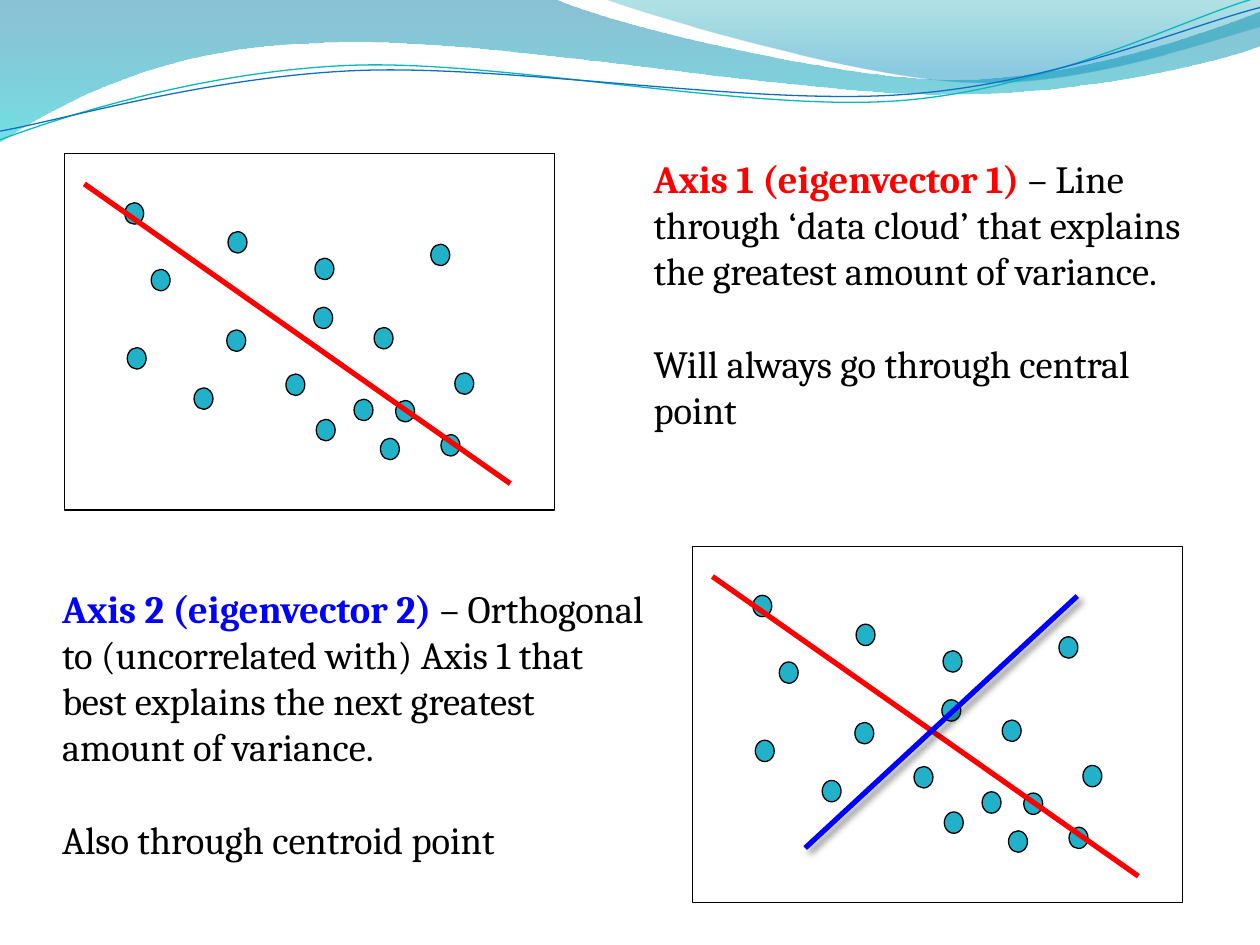
"""Build a slide that explains the first two principal axes of a data cloud."""
import dataclasses

import lxml.etree
import pptx
import pptx.dml.color
import pptx.enum.shapes
import pptx.oxml.ns
import pptx.util

Pt = pptx.util.Pt
qn = pptx.oxml.ns.qn


@dataclasses.dataclass(frozen=True)
class Theme:
    font: str = "Cambria"
    body: float = 22
    line_height: float = 26.4
    text: str = "000000"
    outline: str = "000000"
    dot: str = "21B2C9"
    axis1: str = "FF0000"
    axis2: str = "0000FF"
    band: tuple = ((0, "0074A1", 45), (1, "00C6CF", 55))
    crest: tuple = ((0, "00A1A9", 30), (0.8, "008BBF", 45))
    teal: str = "0AB8BF"
    blue: str = "0F6FC6"
    thin: float = 0.75
    thick: float = 3


THEME = Theme()
PANEL_SIZE = (280.2, 203.6)
DOT_SIZE = (10.8, 12.2)
DOTS = [
    (34.6, 28.1), (49.7, 66.2), (93.6, 44.6), (36, 110.9), (92.9, 100.8),
    (143.3, 59.8), (126.7, 126), (142.6, 87.8), (165.6, 140.4),
    (144, 151.9), (209.5, 51.8), (215.3, 160.6), (74.2, 133.9),
    (177.1, 99.4), (189.4, 141.1), (180.7, 162.7), (223.2, 125.3),
]
AXIS1 = ((11.5, 17.3), (254.9, 188.6))
BAND = [
    [(0, 0)], [(316.8, -0.7)],
    [(342.7, 12.2), (478.1, 45.4), (545.8, 45.4)],
    [(614.2, 45.4), (689.8, 18.7), (720, 6.5)], [(720.7, 25.9)],
    [(707.8, 31.7), (626.4, 54.7), (537.1, 54)],
    [(447.8, 54), (275, 20.2), (185, 24.5)],
    [(92.2, 25.9), (33.1, 59.8), (-0.7, 81.4)],
]
CREST = [
    [(344.9, -0.7)],
    [(366.5, 7.9), (491, 44.6), (553.7, 46.8)],
    [(616.3, 49.7), (691.9, 23), (720, 15.1)], [(720, 0)],
]
TEAL_WAVE = [
    [(0, 79.9)],
    [(34.6, 67), (113.8, 41), (199.4, 37.4)],
    [(284.4, 33.8), (427, 64.1), (513.4, 57.6)],
    [(599.8, 51.1), (675.4, 10.8), (718.6, -1.4)],
]
BLUE_WAVE = [
    [(0, 74.9)],
    [(33.8, 69.1), (118.1, 43.9), (203.8, 40.3)],
    [(290.2, 36.7), (429.8, 60.5), (516.2, 54)],
    [(601.9, 48.2), (677.5, 15.1), (720, 4.3)],
]


def rgb(value):
    return pptx.dml.color.RGBColor.from_string(value)


def set_line(sp, color, width):
    sp.line.color.rgb = rgb(color)
    sp.line.width = Pt(width)


def add_alpha(color_el, percent):
    lxml.etree.SubElement(color_el, qn("a:alpha"), val=str(percent * 1000))


def add_outline(s, segments, close):
    points = [(Pt(x), Pt(y)) for seg in segments for x, y in seg]
    builder = s.shapes.build_freeform(*points[0])
    builder.add_line_segments(points[1:], close=close)
    sp = builder.convert_to_shape()
    sp.shadow.inherit = False
    steps = iter(list(sp._element.spPr.iter(qn("a:lnTo"))))
    for seg in segments[1:]:
        parts = [next(steps) for _ in seg]
        if len(parts) == 3:
            curve = lxml.etree.Element(qn("a:cubicBezTo"))
            parts[0].addprevious(curve)
            for part in parts:
                curve.append(part[0])
                part.getparent().remove(part)
    return sp


def add_gradient_wave(s, segments, stops):
    sp = add_outline(s, segments, True)
    sp.line.fill.background()
    sp.fill.gradient()
    sp.fill.gradient_angle = 270
    for stop, (position, color, alpha) in zip(sp.fill.gradient_stops, stops):
        stop.position = position
        stop.color.rgb = rgb(color)
    colors = sp._element.spPr.iter(qn("a:srgbClr"))
    for color_el, (_, _, alpha) in zip(colors, stops):
        add_alpha(color_el, alpha)
    return sp


def add_line_wave(s, segments, color):
    sp = add_outline(s, segments, False)
    sp.fill.background()
    set_line(sp, color, THEME.thin)
    return sp


def add_master_waves(prs, s):
    waves = [
        add_gradient_wave(s, BAND, THEME.band),
        add_gradient_wave(s, CREST, THEME.crest),
        s.shapes.add_group_shape([
            add_line_wave(s, TEAL_WAVE, THEME.teal),
            add_line_wave(s, BLUE_WAVE, THEME.blue),
        ]),
    ]
    tree = prs.slide_master.shapes._spTree
    for number, sp in enumerate(waves):
        tree.insert(2 + number, sp._element)
    for number, el in enumerate(tree.iter(qn("p:cNvPr")), 1):
        el.set("id", str(number))


def add_shape(s, kind, x, y, size, fill=None):
    sp = s.shapes.add_shape(kind, Pt(x), Pt(y), *map(Pt, size))
    sp.shadow.inherit = False
    if fill:
        sp.fill.solid()
        sp.fill.fore_color.rgb = rgb(fill)
    else:
        sp.fill.background()
    set_line(sp, THEME.outline, THEME.thin)


def add_axis(s, start, end, color, shadow=False):
    sp = s.shapes.add_connector(
        pptx.enum.shapes.MSO_CONNECTOR.STRAIGHT, *map(Pt, (*start, *end)))
    set_line(sp, color, THEME.thick)
    effects = lxml.etree.SubElement(sp._element.spPr, qn("a:effectLst"))
    if shadow:
        outer = lxml.etree.SubElement(
            effects, qn("a:outerShdw"), blurRad=str(Pt(4)), dist=str(Pt(3)),
            dir="2700000", algn="tl", rotWithShape="0")
        color_el = lxml.etree.SubElement(outer, qn("a:srgbClr"), val="000000")
        add_alpha(color_el, 43)


def add_scatter(s, x, y):
    kinds = pptx.enum.shapes.MSO_SHAPE
    add_shape(s, kinds.RECTANGLE, x, y, PANEL_SIZE)
    for dx, dy in DOTS:
        add_shape(s, kinds.OVAL, x + dx, y + dy, DOT_SIZE, THEME.dot)
    start, end = ((x + dx, y + dy) for dx, dy in AXIS1)
    add_axis(s, start, end, THEME.axis1)


def add_run(p, text, color, bold=False):
    r = p.add_run()
    r.text = text
    r.font.name = THEME.font
    r.font.size = Pt(THEME.body)
    r.font.bold = bold
    r.font.color.rgb = rgb(color)


def add_note(s, box, heading, color, body, remark):
    tf = s.shapes.add_textbox(*map(Pt, box)).text_frame
    tf.word_wrap = True
    p = tf.paragraphs[0]
    add_run(p, heading, color, True)
    add_run(p, body, THEME.text)
    p = tf.add_paragraph()
    p.space_before = Pt(THEME.line_height)
    add_run(p, remark, THEME.text)


def main():
    prs = pptx.Presentation()
    prs.slide_width, prs.slide_height = Pt(720), Pt(540)
    s = prs.slides.add_slide(prs.slide_layouts[6])
    add_master_waves(prs, s)
    add_scatter(s, 395.6, 312.1)
    add_scatter(s, 36.7, 87.8)
    add_note(s, (366.5, 85, 333.4, 193.7), "Axis 1 (eigenvector 1) ", THEME.axis1,
             "– Line through ‘data cloud’ that explains the greatest amount of variance.",
             "Will always go through central point")
    add_axis(s, (460.1, 484.6), (615.6, 340.6), THEME.axis2, shadow=True)
    add_note(s, (28.4, 330.7, 347.8, 167), "Axis 2 (eigenvector 2) ", THEME.axis2,
             "– Orthogonal to (uncorrelated with) Axis 1 that best explains "
             "the next greatest amount of variance.",
             "Also through centroid point")
    prs.save("out.pptx")


main()
